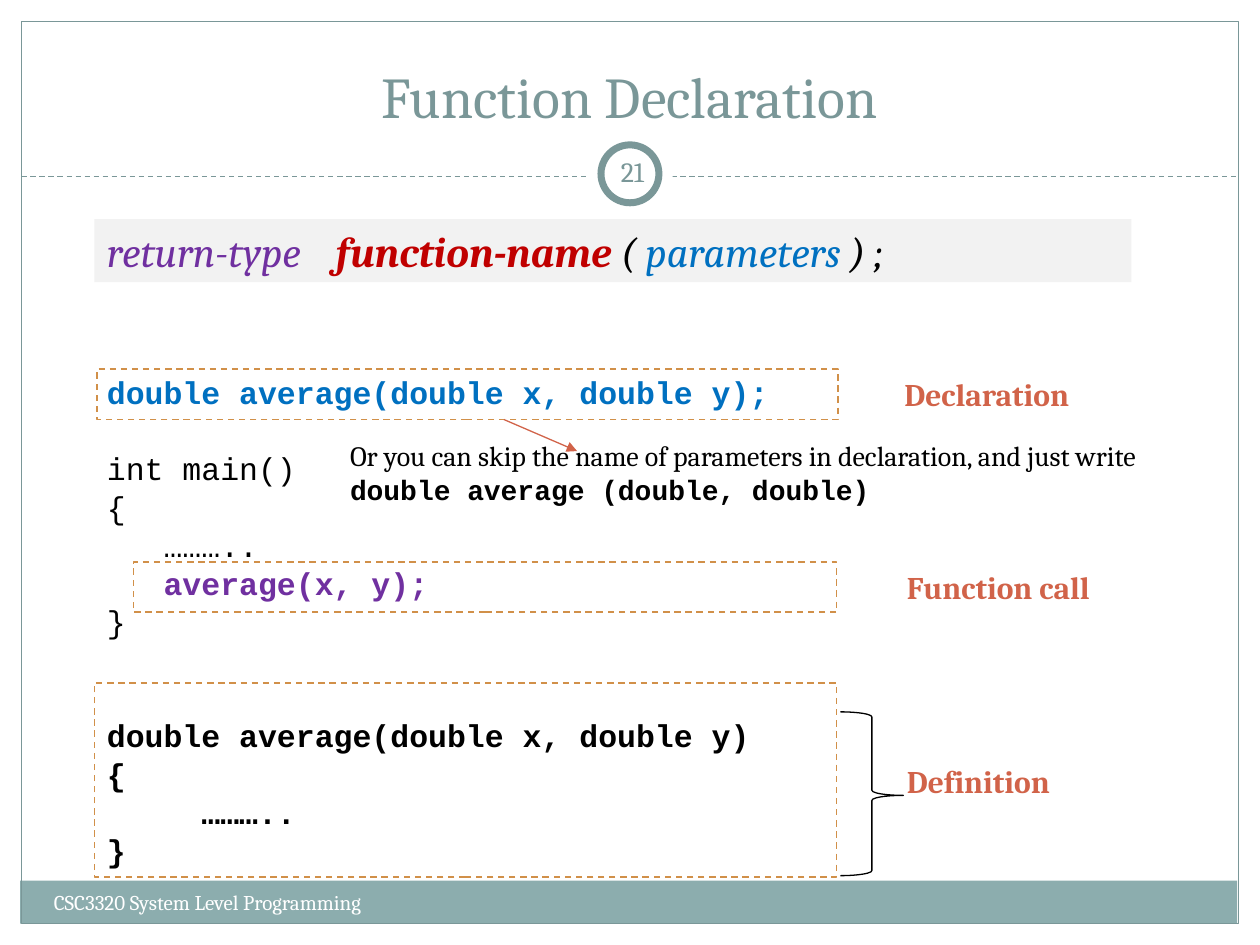
from lxml import etree
from pptx import Presentation
from pptx import util as u
from pptx.dml.color import RGBColor
from pptx.enum import dml, shapes, text
from pptx.oxml.ns import qn

I = u.Inches
HUE = {"teal": "7A9798", "bar": "8CADAE", "white": "FFFFFF", "gray": "F2F2F2",
       "black": "000000", "violet": "7030A0", "red": "C00000", "blue": "0070C0",
       "coral": "D16349", "amber": "D19049"}
SERIF, MONO = "Cambria", "Courier New"
KIND, DASH = shapes.MSO_SHAPE, dml.MSO_LINE.DASH

deck = Presentation()
deck.slide_width, deck.slide_height = I(10), I(7.5)
page = deck.slides.add_slide(deck.slide_layouts[6])


def rgb(name):
    return RGBColor.from_string(HUE[name])


def draw(kind, box, fill=None, line=None, width=0.75, dash=None):
    shape = page.shapes.add_shape(kind, *map(I, box))
    shape.shadow.inherit = False
    if fill:
        shape.fill.solid()
        shape.fill.fore_color.rgb = rgb(fill)
    else:
        shape.fill.background()
    if line:
        shape.line.color.rgb = rgb(line)
        shape.line.width = u.Pt(width)
        shape.line.dash_style = dash
    else:
        shape.line.fill.background()
    return shape


def write(box, paras, size=18, font=SERIF, color="black", bold=False, italic=False,
          align="LEFT", anchor="TOP", inset=0.1, pitch=None, gaps=None, tab=None):
    """Each paragraph is a list of (words, color, bold) runs; None keeps the default."""
    frame = page.shapes.add_textbox(*map(I, box)).text_frame
    frame.word_wrap = True
    frame.vertical_anchor = text.MSO_ANCHOR[anchor]
    frame.margin_left = frame.margin_right = I(inset)
    for n, runs in enumerate(paras):
        para = frame.add_paragraph() if n else frame.paragraphs[0]
        para.alignment = text.PP_ALIGN[align]
        if pitch:
            para.line_spacing = u.Pt(pitch)
        if gaps and n in gaps:
            para.space_before = u.Pt(gaps[n] * pitch)
        if tab:
            stops = etree.SubElement(para._p.get_or_add_pPr(), qn("a:tabLst"))
            etree.SubElement(stops, qn("a:tab"), pos=str(I(tab)), algn="l")
        for words, hue, heavy in runs:
            run = para.add_run()
            run.text = words
            run.font.name, run.font.size = font, u.Pt(size)
            run.font.bold = bold if heavy is None else heavy
            run.font.italic = italic
            run.font.color.rgb = rgb(hue or color)
    return frame


# Frame, footer bar and title rule
draw(KIND.RECTANGLE, (0.16, 6.99, 9.66, 0.34), fill="bar")
draw(KIND.RECTANGLE, (0.17, 0.17, 9.66, 7.16), line="teal")
rule = page.shapes.add_connector(
    shapes.MSO_CONNECTOR.STRAIGHT, I(0.17), I(1.4), I(9.83), I(1.4))
draw(KIND.OVAL, (4.67, 1.05, 0.67, 0.67), fill="white")
draw(KIND.OVAL, (4.77, 1.15, 0.46, 0.46), fill="white", line="teal", width=4)

# Title, footer and page number
write((0.33, 0.25, 9.33, 0.83), [[("Function Declaration", None, None)]],
      size=33, color="teal", align="CENTER", anchor="BOTTOM")
write((0.33, 7.01, 3.92, 0.4), [[("CSC3320 System Level Programming", None, None)]],
      size=12, color="white")
write((4.77, 1.12, 0.5, 0.48), [[("21", None, None)]],
      size=16, color="teal", align="CENTER", anchor="MIDDLE", inset=0.05)

# Syntax line
form = (0.75, 1.74, 8.23, 0.5)
draw(KIND.RECTANGLE, form, fill="gray")
write(form, [[("return-type\t", "violet", None), ("function-name", "red", True),
              (" ( ", None, None), ("parameters", "blue", None), (" ) ;", None, None)]],
      size=24, italic=True, tab=1.82)

# Code
code = [
    [("double average(double x, double y);", "blue", True)],
    [("int main()", None, None)],
    [("{", None, None)],
    [("   ………..", None, None)],
    [("   ", None, None), ("average(x, y);", "violet", True)],
    [("}", None, None)],
    [("double average(double x, double y)", None, True)],
    [("{", None, True)],
    [("     ………..", None, True)],
    [("}", None, True)],
]
write((0.75, 2.91, 5.9, 4.04), code, font=MONO, pitch=21.8, gaps={1: 1, 6: 2})

# Labels
for label, left, top in (("Declaration", 7.08, 2.93), ("Function call", 7.1, 4.46),
                         ("Definition", 7.1, 6)):
    write((left, top, 1.9, 0.4), [[(label, None, None)]], color="coral", bold=True)

# Brace and dashed outlines
brace = draw(KIND.RIGHT_BRACE, (6.67, 5.65, 0.5, 1.3), line="black")
brace.adjustments[0], brace.adjustments[1] = 0.08, 0.51
for box in ((0.75, 5.42, 5.89, 1.54), (1.06, 4.46, 5.58, 0.4), (0.77, 2.93, 5.88, 0.4)):
    draw(KIND.RECTANGLE, box, line="amber", width=0.9, dash=DASH.DASH)

# Note on the short form
note = write((2.68, 3.43, 7.24, 0.64), [
    [("Or you can skip the name of parameters in declaration, and just write", None, None)],
    [("double average (double, double)", None, True)]], size=16, pitch=19.4)
note.paragraphs[1].runs[0].font.name = MONO

# Arrow to the note, and line styles
arrow = page.shapes.add_connector(
    shapes.MSO_CONNECTOR.STRAIGHT, I(4), I(3.33), I(4.58), I(3.58))
for link, hue in ((rule, "teal"), (arrow, "coral")):
    link.line.color.rgb = rgb(hue)
    link.line.width = u.Pt(0.75)
    etree.SubElement(link._element.spPr, qn("a:effectLst"))
rule.line.dash_style = DASH.DASH
etree.SubElement(arrow.line._get_or_add_ln(), qn("a:tailEnd"), type="triangle")

deck.save("out.pptx")
